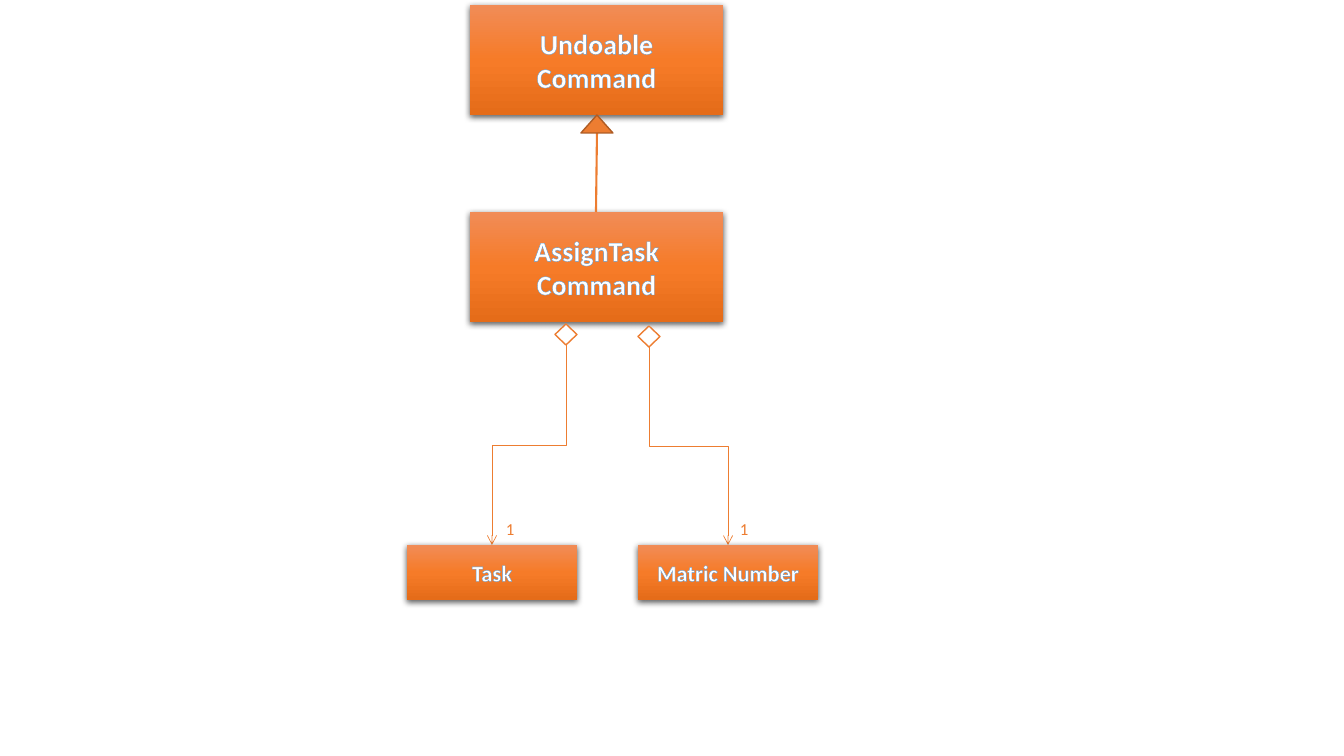
"""Build a class diagram slide for the assign-task command."""
import pptx
import pptx.dml.color
import pptx.enum.shapes
import pptx.enum.text
import pptx.oxml
import pptx.oxml.ns
import pptx.util

SCALE = 12192000 / 1344
ORANGE = "ED7D31"
NS = pptx.oxml.ns.nsdecls("a")
SHAPE = pptx.enum.shapes.MSO_SHAPE
CONNECTOR = pptx.enum.shapes.MSO_CONNECTOR


def px(n):
    """Turn pixels into EMU."""
    return pptx.util.Emu(round(n * SCALE))


def rgb(value):
    """Turn a hex string into a colour."""
    return pptx.dml.color.RGBColor.from_string(value)


def element(xml):
    """Make a drawing element, declaring its namespace on the first tag."""
    return pptx.oxml.parse_xml(xml.replace(">", f" {NS}>", 1))


def set_font(p, size, color, bold=False):
    """Set the font of a paragraph."""
    p.font.name = "Calibri"
    p.font.size = pptx.util.Pt(size)
    p.font.bold = bold
    p.font.color.rgb = rgb(color)


def add_outline(r, color):
    """Draw a thin outline around the letters of a run."""
    r._r.get_or_add_rPr().insert(0, element(
        f'<a:ln w="10160"><a:solidFill><a:srgbClr val="{color}"/>'
        '</a:solidFill></a:ln>'))


def add_class_box(s, x, y, w, h, lines, size):
    """Add a shaded class box with centred lines of text."""
    sp = s.shapes.add_shape(SHAPE.RECTANGLE, px(x), px(y), px(w), px(h))
    sp.line.fill.background()
    sp.fill.gradient()
    sp.fill.gradient_angle = 270
    stops = sp._element.spPr.find(".//" + pptx.oxml.ns.qn("a:gsLst"))
    for stop in list(stops):
        stops.remove(stop)
    for pos, color in ((0, "F18C57"), (50, "F67B28"), (100, "E56C19")):
        stops.append(element(
            f'<a:gs pos="{pos * 1000}"><a:srgbClr val="{color}"/></a:gs>'))
    sp.shadow.inherit = False
    sp._element.spPr.find(pptx.oxml.ns.qn("a:effectLst")).append(element(
        '<a:outerShdw blurRad="57150" dist="19050" dir="5400000" algn="ctr" '
        'rotWithShape="0"><a:srgbClr val="000000"><a:alpha val="63000"/>'
        '</a:srgbClr></a:outerShdw>'))
    tf = sp.text_frame
    tf.word_wrap = True
    tf.vertical_anchor = pptx.enum.text.MSO_ANCHOR.MIDDLE
    for i, line in enumerate(lines):
        p = tf.add_paragraph() if i else tf.paragraphs[0]
        p.alignment = pptx.enum.text.PP_ALIGN.CENTER
        set_font(p, size, "FFFFFF", True)
        r = p.add_run()
        r.text = line
        add_outline(r, "5B9BD5")


def add_marker(s, kind, x, y, w, h, fill, line):
    """Add a diamond or triangle that ends a relation."""
    sp = s.shapes.add_shape(kind, px(x), px(y), px(w), px(h))
    sp.shadow.inherit = False
    sp.fill.solid()
    sp.fill.fore_color.rgb = rgb(fill)
    sp.line.color.rgb = rgb(line)
    sp.line.width = pptx.util.Pt(1)


def add_line(s, kind, x1, y1, x2, y2, width):
    """Add a plain orange connector and return it."""
    c = s.shapes.add_connector(kind, px(x1), px(y1), px(x2), px(y2))
    c.line.color.rgb = rgb(ORANGE)
    c.line.width = pptx.util.Pt(width)
    c._element.spPr.append(element('<a:effectLst></a:effectLst>'))
    return c


def add_elbow_arrow(s, x1, y1, x2, y2):
    """Add an arrow that runs down, across and down again."""
    cx, cy = (x1 + x2) / 2, (y1 + y2) / 2
    half_w, half_h = abs(x2 - x1) / 2, (y2 - y1) / 2
    side = 1 if x2 > x1 else -1
    c = add_line(s, CONNECTOR.ELBOW, cx + side * half_h, cy - half_w,
                 cx - side * half_h, cy + half_w, 0.5)
    c._element.spPr.xfrm.set("rot", str((180 + side * 90) * 60000))
    c.line._get_or_add_ln().append(element('<a:tailEnd type="arrow"></a:tailEnd>'))


def add_label(s, x, y, text):
    """Add a multiplicity label."""
    tf = s.shapes.add_textbox(px(x), px(y), px(30), px(30)).text_frame
    tf.word_wrap = True
    p = tf.paragraphs[0]
    p.text = text
    set_font(p, 12, ORANGE)


def main():
    """Build and save the slide."""
    prs = pptx.Presentation()
    prs.slide_width, prs.slide_height = px(1344), px(756)
    s = prs.slides.add_slide(prs.slide_layouts[6])

    for y, name in ((5, "Undoable"), (212, "AssignTask")):
        add_class_box(s, 470, y, 253, 110, (name, "Command"), 20)
    add_line(s, CONNECTOR.STRAIGHT, 596, 212, 597, 133, 1.5)
    add_marker(s, SHAPE.ISOSCELES_TRIANGLE, 581, 115, 32, 18, ORANGE, "AF5C24")

    for name, x, w, start_x, start_y, label_x in (
            ("Task", 407, 170, 566, 345, 496),
            ("Matric Number", 638, 180, 649, 347, 730)):
        add_marker(s, SHAPE.DIAMOND, start_x - 11, start_y - 21, 22, 21,
                   "FFFFFF", ORANGE)
        add_elbow_arrow(s, start_x, start_y, x + w // 2, 545)
        add_label(s, label_x, 514, "1")
        add_class_box(s, x, 545, w, 55, (name,), 16)

    prs.save("out.pptx")


if __name__ == "__main__":
    main()
